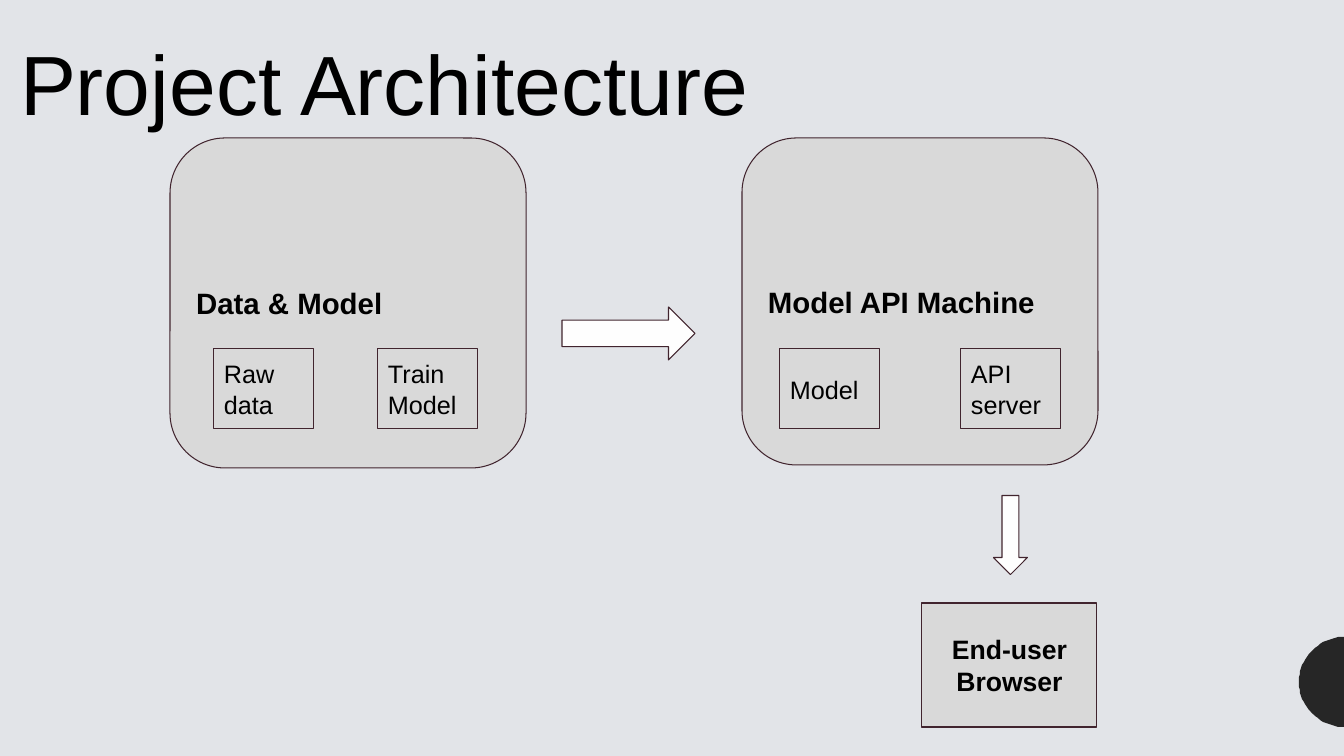
import math
from pptx import Presentation
from pptx.dml.color import RGBColor
from pptx.enum.shapes import MSO_SHAPE
from pptx.enum.text import MSO_ANCHOR, MSO_AUTO_SIZE, PP_ALIGN
from pptx.util import Emu, Pt

RECT, ROUND, ARROW = MSO_SHAPE.RECTANGLE, MSO_SHAPE.ROUNDED_RECTANGLE, MSO_SHAPE.RIGHT_ARROW
LEFT, CENTER = PP_ALIGN.LEFT, PP_ALIGN.CENTER
TOP, MIDDLE = MSO_ANCHOR.TOP, MSO_ANCHOR.MIDDLE
NO_FIT = MSO_AUTO_SIZE.NONE

THEME = {
    "font": "Arial",
    "background": RGBColor.from_string("E2E4E8"),
    "box": RGBColor.from_string("D9D9D9"),
    "arrow": RGBColor.from_string("FEFEFE"),
    "outline": RGBColor.from_string("41242E"),
    "disc": RGBColor.from_string("262626"),
    "text": RGBColor.from_string("000000"),
    "title": 60, "machine": 21, "browser": 19, "part": 18, "line": 0.75,
}
SCALE = 914400 / 100.8


def px(n):
    return Emu(round(n * SCALE))


def write(sp, text, size, bold=False, align=LEFT, anchor=MIDDLE, insets=(10, 10, 10, 10)):
    tf = sp.text_frame
    tf.word_wrap = True
    tf.auto_size = NO_FIT
    tf.vertical_anchor = anchor
    tf.margin_left, tf.margin_top, tf.margin_right, tf.margin_bottom = map(px, insets)
    p = tf.paragraphs[0]
    p.alignment = align
    r = p.add_run()
    r.text = text
    r.font.name = THEME["font"]
    r.font.size = Pt(THEME[size])
    r.font.bold = bold
    r.font.color.rgb = THEME["text"]


prs = Presentation()
prs.slide_width, prs.slide_height = px(1344), px(756)
s = prs.slides.add_slide(prs.slide_layouts[5])
s.background.fill.solid()
s.background.fill.fore_color.rgb = THEME["background"]

title = s.shapes.title
title.left, title.top, title.width, title.height = map(px, (12, 11, 789, 122))
write(title, "Project Architecture", "title", anchor=TOP, insets=(8, 20, 10, 0))

arc = [(1344 - 45 * math.sin(math.radians(a)), 682 - 45 * math.cos(math.radians(a)))
       for a in range(0, 181, 4)]
fb = s.shapes.build_freeform(*arc[0], scale=SCALE)
fb.add_line_segments(arc[1:], close=True)
disc = fb.convert_to_shape()
disc.shadow.inherit = False
disc.fill.solid()
disc.fill.fore_color.rgb = THEME["disc"]
disc.line.fill.background()

shapes = [
    (ROUND, (170, 138, 356, 330), "box", 0, "Data & Model", "machine", True, LEFT),
    (ROUND, (742, 138, 356, 327), "box", 0, "Model API Machine", "machine", True, LEFT),
    (RECT, (922, 603, 175, 124), "box", 0, "End-user Browser", "browser", True, CENTER),
    (ARROW, (971, 518, 79, 34), "arrow", 90, "", "part", False, LEFT),
    (ARROW, (562, 307, 133, 53), "arrow", 0, "", "part", False, LEFT),
]
parts = [(214, "Raw data"), (378, "Train Model"), (780, "Model"), (961, "API server")]
shapes += [(RECT, (x, 349, 100, 80), "box", 0, text, "part", False, LEFT) for x, text in parts]

for kind, place, fill, turn, text, size, bold, align in shapes:
    sp = s.shapes.add_shape(kind, *map(px, place))
    sp.shadow.inherit = False
    sp.rotation = turn
    sp.fill.solid()
    sp.fill.fore_color.rgb = THEME[fill]
    sp.line.color.rgb = THEME["outline"]
    sp.line.width = Pt(THEME["line"])
    if text:
        write(sp, text, size, bold=bold, align=align)

prs.save("out.pptx")
